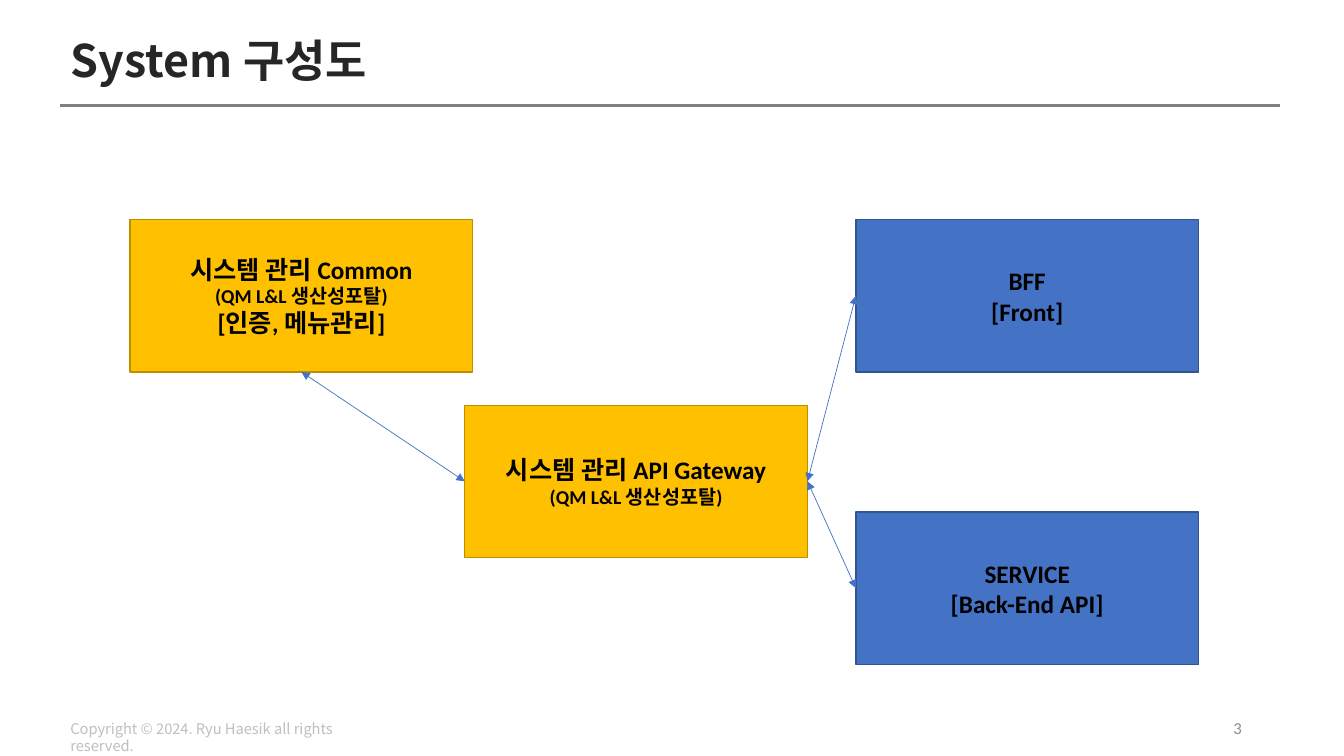
from pptx import Presentation
from pptx.dml.color import RGBColor
from pptx.enum.shapes import MSO_CONNECTOR as Link, MSO_SHAPE as Shape
from pptx.enum.text import MSO_ANCHOR as Anchor, PP_ALIGN as Align
from pptx.oxml.ns import qn
from pptx.util import Inches, Pt
from lxml.etree import SubElement

WIDTH, HEIGHT = Inches(13.33), Inches(7.5)
SANS, KOREAN = "Calibri", "Noto Sans CJK KR"
BLACK = RGBColor(0x00, 0x00, 0x00)
DARK = RGBColor(0x26, 0x26, 0x26)
GREY = RGBColor(0x80, 0x80, 0x80)
MID = RGBColor(0x8C, 0x8C, 0x8C)
PALE = RGBColor(0xBF, 0xBF, 0xBF)
GOLD = RGBColor(0xFF, 0xC0, 0x00)
BROWN = RGBColor(0xBD, 0x8E, 0x00)
BLUE = RGBColor(0x44, 0x72, 0xC4)
NAVY = RGBColor(0x32, 0x54, 0x91)

# Shares of the slide, in percent
LEFT, RIGHT = 4.5, 95.25
BOX_W, BOX_H = 25.5, 20.13
TOP_ROW, MID_ROW, LOW_ROW = 29.07, 53.6, 67.73
COL_A, COL_B, COL_C = 9.68, 34.58, 63.68

# Connection sites of a rectangle
WEST, SOUTH, EAST = 1, 2, 3


def area(x, y, w, h):
    """Turn percent shares of the slide into lengths."""
    return [int(part * size / 100)
            for part, size in zip((x, y, w, h), (WIDTH, HEIGHT) * 2)]


def style(para, size, color, name=SANS, bold=False, align=None):
    font = para.font
    font.size, font.name, font.bold = Pt(size), name, bold
    font.color.rgb = color
    para.alignment = align


def add_title(slide, text):
    title = slide.shapes.title
    title.left, title.top, title.width, title.height = area(LEFT, 2.8, 85.58, 11.07)
    frame = title.text_frame
    frame.text = text
    frame.vertical_anchor = Anchor.MIDDLE
    para = frame.paragraphs[0]
    para.line_spacing = 0.9
    style(para, 32, DARK, KOREAN, True, Align.LEFT)


def add_note(slide, text, place, anchor, *look):
    frame = slide.shapes.add_textbox(*area(*place)).text_frame
    frame.word_wrap = True
    frame.vertical_anchor = anchor
    frame.text = text
    style(frame.paragraphs[0], *look)


def add_box(slide, col, row, fill, edge, lines):
    """Add a node; lines holds pairs of text and size."""
    box = slide.shapes.add_shape(Shape.RECTANGLE, *area(col, row, BOX_W, BOX_H))
    box.shadow.inherit = False
    box.fill.solid()
    box.fill.fore_color.rgb = fill
    box.line.color.rgb = edge
    box.line.width = Pt(1)
    frame = box.text_frame
    frame.vertical_anchor = Anchor.MIDDLE
    frame.text = "\n".join(text for text, _ in lines)
    for para, (_, size) in zip(frame.paragraphs, lines):
        style(para, size, BLACK, bold=True, align=Align.CENTER)
    return box


def add_line(slide, ends, color, width):
    line = slide.shapes.add_connector(Link.STRAIGHT, *ends)
    line.line.color.rgb = color
    line.line.width = Pt(width)
    SubElement(line._element.spPr, qn("a:effectLst"))
    return line


def add_arrow(slide, start, exit_site, end, entry_site):
    """Join two boxes with a line that has a head at both ends."""
    arrow = add_line(slide, (0, 0, 0, 0), BLUE, 0.5)
    arrow.begin_connect(start, exit_site)
    arrow.end_connect(end, entry_site)
    for tag in ("a:headEnd", "a:tailEnd"):
        SubElement(arrow.line._get_or_add_ln(), qn(tag), type="triangle")


def main():
    deck = Presentation()
    deck.slide_width, deck.slide_height = WIDTH, HEIGHT
    slide = deck.slides.add_slide(deck.slide_layouts[5])

    add_line(slide, area(LEFT, 14, RIGHT, 14), GREY, 2.25)
    add_note(slide, "Copyright © 2024. Ryu Haesik all rights reserved.",
             (LEFT, 94.53, 25.88, 3.73), Anchor.TOP, 10.5, PALE, KOREAN)
    add_title(slide, "System 구성도")
    add_note(slide, "3", (72.15, 94.67, 21, 3.33), Anchor.MIDDLE,
             12, MID, SANS, False, Align.RIGHT)

    portal = ("(QM L&L 생산성포탈)", 14)
    common = add_box(slide, COL_A, TOP_ROW, GOLD, BROWN,
                     [("시스템 관리 Common", 18), portal, ("[인증, 메뉴관리]", 18)])
    gateway = add_box(slide, COL_B, MID_ROW, GOLD, BROWN,
                      [("시스템 관리 API Gateway", 18), portal])
    front = add_box(slide, COL_C, TOP_ROW, BLUE, NAVY,
                    [("BFF", 18), ("[Front]", 18)])
    service = add_box(slide, COL_C, LOW_ROW, BLUE, NAVY,
                      [("SERVICE", 18), ("[Back-End API]", 18)])

    add_arrow(slide, common, SOUTH, gateway, WEST)
    for target in (front, service):
        add_arrow(slide, gateway, EAST, target, WEST)

    deck.save("out.pptx")


if __name__ == "__main__":
    main()
